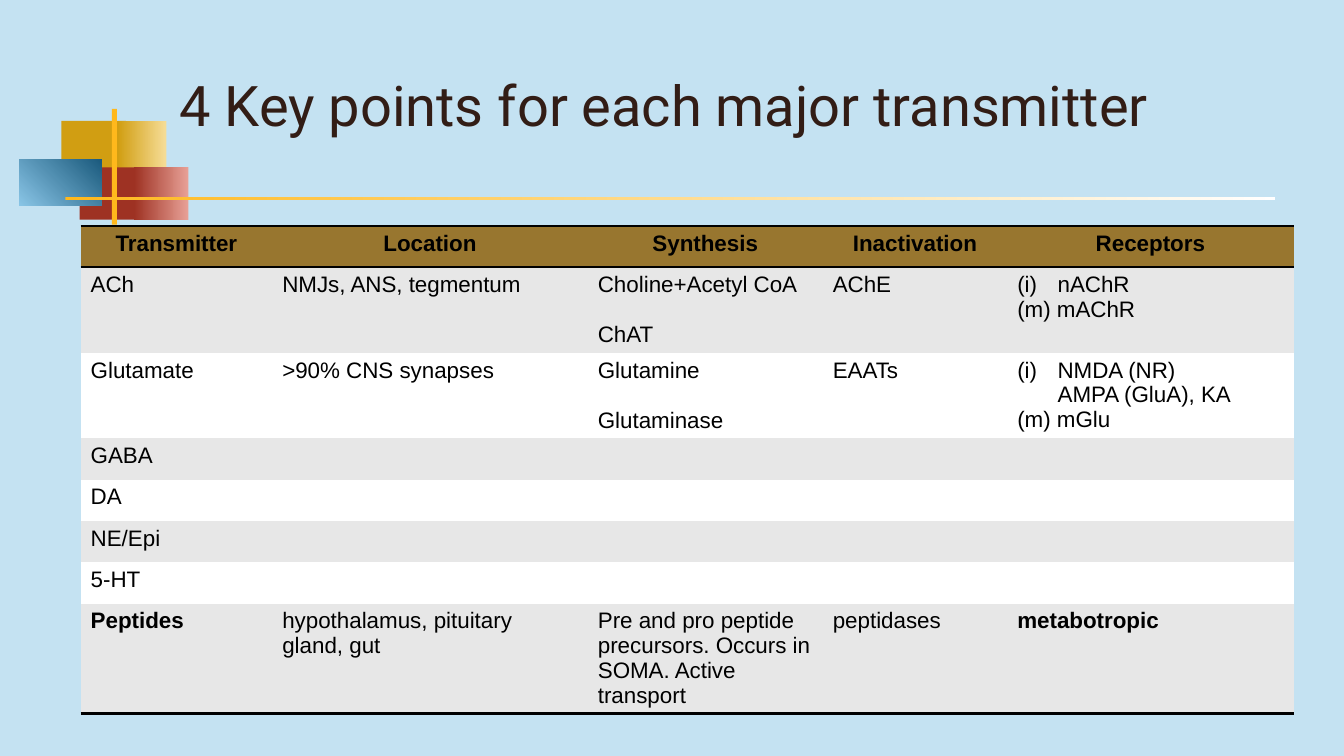
from lxml import etree
from pptx import Presentation
from pptx.dml.color import RGBColor
from pptx.enum.shapes import MSO_SHAPE
from pptx.enum.text import MSO_ANCHOR, PP_ALIGN
from pptx.oxml.ns import qn
from pptx.util import Inches, Pt

RECT = MSO_SHAPE.RECTANGLE
LEFT, MID = PP_ALIGN.LEFT, PP_ALIGN.CENTER
CENTRE = MSO_ANCHOR.MIDDLE

SKY = RGBColor(0xC4, 0xE2, 0xF2)
GOLD = RGBColor(0xD1, 0x9E, 0x12)
SAND = RGBColor(0xF6, 0xDD, 0x97)
BRICK = RGBColor(0x9E, 0x32, 0x23)
ROSE = RGBColor(0xE8, 0xA1, 0x97)
AZURE = RGBColor(0x89, 0xC5, 0xE6)
NAVY = RGBColor(0x1B, 0x5A, 0x7D)
AMBER = RGBColor(0xFF, 0xB8, 0x1C)
WHITE = RGBColor(0xFF, 0xFF, 0xFF)
BROWN = RGBColor(0x32, 0x1D, 0x16)
OCHRE = RGBColor(0x98, 0x76, 0x2F)
GREY = RGBColor(0xE7, 0xE7, 0xE7)
BLACK = RGBColor(0, 0, 0)

UNIT = Inches(0.1)  # grid step: 133.3 columns by 75 rows
PLAIN = "{2D5ABB26-0587-4C30-8999-92F81FD0307C}"  # table style without grid
TAB = Inches(0.4)
LINE = Pt(18.4)  # one line of table text

# Decoration: left, top, width, height, first colour, last colour, angle
DECOR = [
    (6.1, 12, 6.4, 5.2, GOLD, None, 0),
    (11.7, 12, 4.8, 5.2, GOLD, SAND, 0),
    (7.9, 16.6, 6.2, 5.2, BRICK, None, 0),
    (13.3, 16.6, 5.4, 5.2, BRICK, ROSE, 0),
    (1.9, 15.8, 8.2, 4.6, AZURE, NAVY, 45),
    (11.1, 10.8, 0.5, 11.5, AMBER, None, 0),
    (6.5, 19.5, 120, 0.35, AMBER, WHITE, 0),
]

# Table: an empty line inside a cell stands for a gap
WIDTHS = [19, 31.3, 23.3, 18.3, 28.4]
HEIGHTS = [4.1, 8.5, 8.5, 4.1, 4.1, 4.1, 4.1, 10.9]
ROWS = [
    ["Transmitter", "Location", "Synthesis", "Inactivation", "Receptors"],
    ["ACh", "NMJs, ANS, tegmentum", "Choline+Acetyl CoA\n\nChAT", "AChE",
     "(i)\tnAChR\n(m) mAChR"],
    ["Glutamate", ">90% CNS synapses", "Glutamine\n\nGlutaminase", "EAATs",
     "(i)\tNMDA (NR)\n\tAMPA (GluA), KA\n(m) mGlu"],
    ["GABA"],
    ["DA"],
    ["NE/Epi"],
    ["5-HT"],
    ["Peptides", "hypothalamus, pituitary gland, gut",
     "Pre and pro peptide precursors. Occurs in SOMA. Active transport",
     "peptidases", "metabotropic"],
]
STRONG = ROWS[0] + ["Peptides", "metabotropic"]


def grid(*steps):
    return [round(step * UNIT) for step in steps]


def style(para, font, size, color, bold=False):
    for run in para.runs:
        run.font.name, run.font.size = font, Pt(size)
        run.font.bold = bold
        run.font.color.rgb = color


def block(slide, x, y, w, h, first, last, angle):
    shape = slide.shapes.add_shape(RECT, *grid(x, y, w, h))
    shape.shadow.inherit = False
    shape.line.fill.background()
    if last is None:
        shape.fill.solid()
        shape.fill.fore_color.rgb = first
        return
    shape.fill.gradient()
    shape.fill.gradient_angle = angle
    for stop, color, place in zip(shape.fill.gradient_stops,
                                  (first, last), (0, 1)):
        stop.color.rgb, stop.position = color, place


def heading(slide, text):
    title = slide.shapes.title
    title.left, title.top, title.width, title.height = grid(16.8, 2.3, 109.9, 16)
    frame = title.text_frame
    frame.text = text
    frame.vertical_anchor = CENTRE
    frame.paragraphs[0].alignment = LEFT
    style(frame.paragraphs[0], "Roboto", 40, BROWN)


def border(cell, side):
    props = cell._tc.get_or_add_tcPr()
    line = etree.SubElement(props, qn("a:" + side), w=str(Pt(2)))
    fill = etree.SubElement(line, qn("a:solidFill"))
    etree.SubElement(fill, qn("a:srgbClr"), val=str(BLACK))


def tab_stop(para):
    props = para._p.get_or_add_pPr()
    stops = etree.SubElement(props, qn("a:tabLst"))
    etree.SubElement(stops, qn("a:tab"), pos=str(TAB), algn="l")


def write(cell, text, align):
    frame = cell.text_frame
    gap = False
    for i, line in enumerate(text.split("\n")):
        if not line:
            gap = True
            continue
        para = frame.add_paragraph() if i else frame.paragraphs[0]
        para.text = line
        para.alignment = align
        if gap:
            para.space_before = LINE
            gap = False
        if "\t" in line:
            tab_stop(para)
        style(para, "Arial", 16, BLACK, text in STRONG)


def chart_of_facts(slide):
    frame = slide.shapes.add_table(
        len(ROWS), len(WIDTHS), *grid(8, 22.4, sum(WIDTHS), sum(HEIGHTS)))
    table = frame.table
    table.first_row = table.horz_banding = False
    for tag in frame.element.iter(qn("a:tableStyleId")):
        tag.text = PLAIN
    for col, width in zip(table.columns, grid(*WIDTHS)):
        col.width = width
    for row, height in zip(table.rows, grid(*HEIGHTS)):
        row.height = height

    end = len(ROWS) - 1
    for r, texts in enumerate(ROWS):
        for c in range(len(WIDTHS)):
            cell = table.cell(r, c)
            if r == 0:
                border(cell, "lnT")
            if r in (0, end):
                border(cell, "lnB")
            cell.fill.solid()
            band = GREY if r % 2 else WHITE
            cell.fill.fore_color.rgb = band if r else OCHRE
            if c < len(texts):
                write(cell, texts[c], LEFT if r else MID)


def main():
    deck = Presentation()
    deck.slide_width, deck.slide_height = Inches(13.33), Inches(7.5)
    slide = deck.slides.add_slide(deck.slide_layouts[5])
    slide.background.fill.solid()
    slide.background.fill.fore_color.rgb = SKY

    # Corner blocks and rules
    for part in DECOR:
        block(slide, *part)

    # Title and table
    heading(slide, "4 Key points for each major transmitter")
    chart_of_facts(slide)
    deck.save("out.pptx")


if __name__ == "__main__":
    main()
